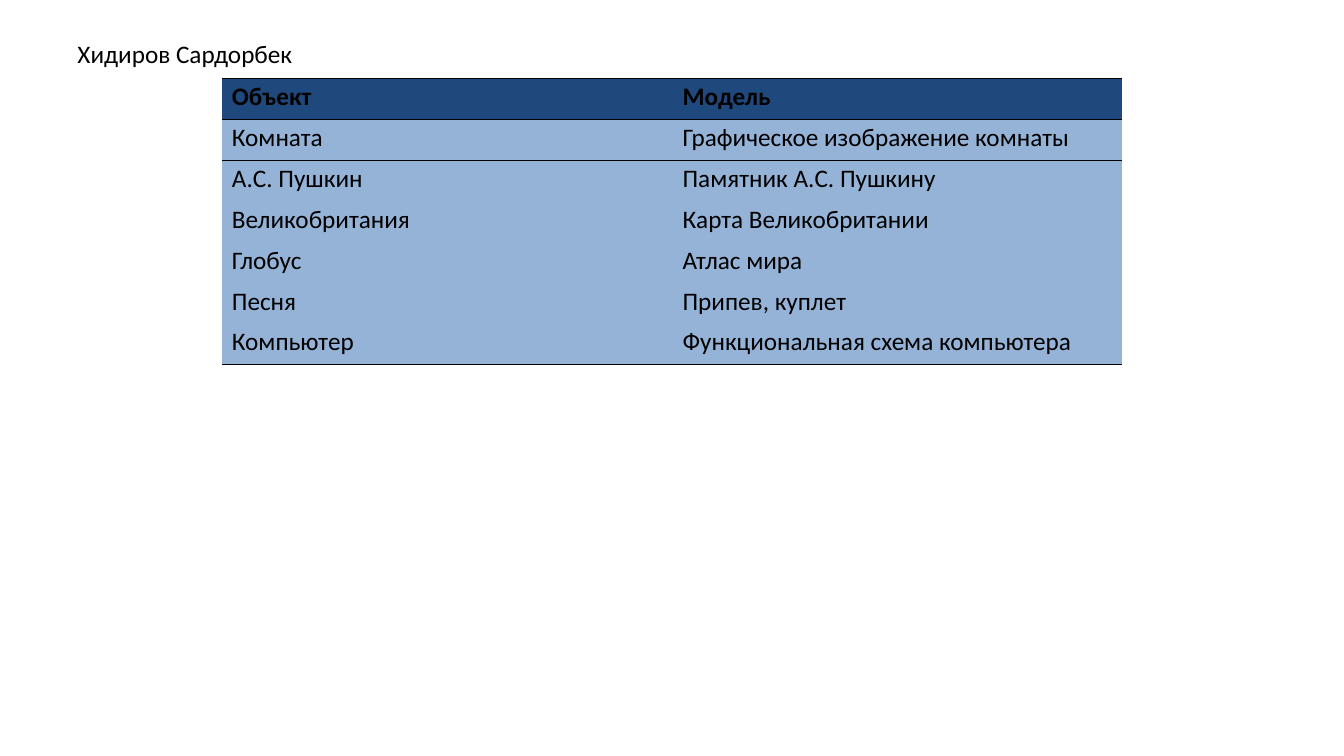
from lxml.etree import SubElement
from pptx import Presentation
from pptx.dml.color import RGBColor
from pptx.enum.text import MSO_AUTO_SIZE
from pptx.oxml.ns import qn
from pptx.util import Inches, Pt

COLORS = {"text": "000000", "header": "1F497D", "body": "95B3D7"}
ROWS = [
    ("Объект", "Модель"),
    ("Комната", "Графическое изображение комнаты"),
    ("А.С. Пушкин", "Памятник А.С. Пушкину"),
    ("Великобритания", "Карта Великобритании"),
    ("Глобус", "Атлас мира"),
    ("Песня", "Припев, куплет"),
    ("Компьютер", "Функциональная схема компьютера"),
]
SPACE_BEFORE = [2.2, 2.3, 2.3, 2.4, 2.4, 2.4, 2.5]
COLUMN_WIDTHS = [3.23, 5.7]
INDENTS = [0.1, 1.34]
ROW_HEIGHT = 2.84 / len(ROWS)
RULED_EDGES = {0, 1, 2, len(ROWS)}


def format_text(para, bold=False):
    para.font.name = "Calibri"
    para.font.size = Pt(18)
    para.font.bold = bold
    para.font.color.rgb = RGBColor.from_string(COLORS["text"])


def set_border(cell, side, visible):
    line = SubElement(cell._tc.get_or_add_tcPr(), qn(f"a:{side}"), w=str(Pt(1)))
    if visible:
        fill = SubElement(line, qn("a:solidFill"))
        SubElement(fill, qn("a:srgbClr"), val=COLORS["text"])
    else:
        SubElement(line, qn("a:noFill"))


deck = Presentation()
deck.slide_width = Inches(13.33)
deck.slide_height = Inches(7.5)
page = deck.slides.add_slide(deck.slide_layouts[6])

table = page.shapes.add_table(
    len(ROWS), 2, Inches(2.2), Inches(0.78), Inches(8.93), Inches(2.84)
).table
table.horz_banding = False
for column, width in zip(table.columns, COLUMN_WIDTHS):
    column.width = Inches(width)

for row_index, texts in enumerate(ROWS):
    table.rows[row_index].height = Inches(ROW_HEIGHT)
    is_header = row_index == 0
    for column_index, text in enumerate(texts):
        cell = table.cell(row_index, column_index)
        cell.margin_left = cell.margin_right = cell.margin_bottom = 0
        cell.margin_top = Inches(0.03)
        set_border(cell, "lnL", False)
        set_border(cell, "lnR", False)
        set_border(cell, "lnT", row_index in RULED_EDGES)
        set_border(cell, "lnB", row_index + 1 in RULED_EDGES)
        cell.fill.solid()
        cell.fill.fore_color.rgb = RGBColor.from_string(
            COLORS["header" if is_header else "body"]
        )
        para = cell.text_frame.paragraphs[0]
        para.text = text
        para.space_before = Pt(SPACE_BEFORE[row_index])
        format_text(para, bold=is_header)
        properties = para._p.get_or_add_pPr()
        properties.set("marL", str(Inches(INDENTS[column_index])))
        properties.set("indent", "0")
        for span in para.runs:
            span.font.bold = is_header
            span.font.size = Pt(18)
            span.font.name = "Calibri"
            span.font.color.rgb = RGBColor.from_string(COLORS["text"])

name_box = page.shapes.add_textbox(Inches(0.67), Inches(0.33), Inches(2.36), Inches(0.4))
name_box.text_frame.word_wrap = False
name_box.text_frame.auto_size = MSO_AUTO_SIZE.SHAPE_TO_FIT_TEXT
name_para = name_box.text_frame.paragraphs[0]
name_para.text = "Хидиров Сардорбек"
format_text(name_para)

deck.save("out.pptx")
